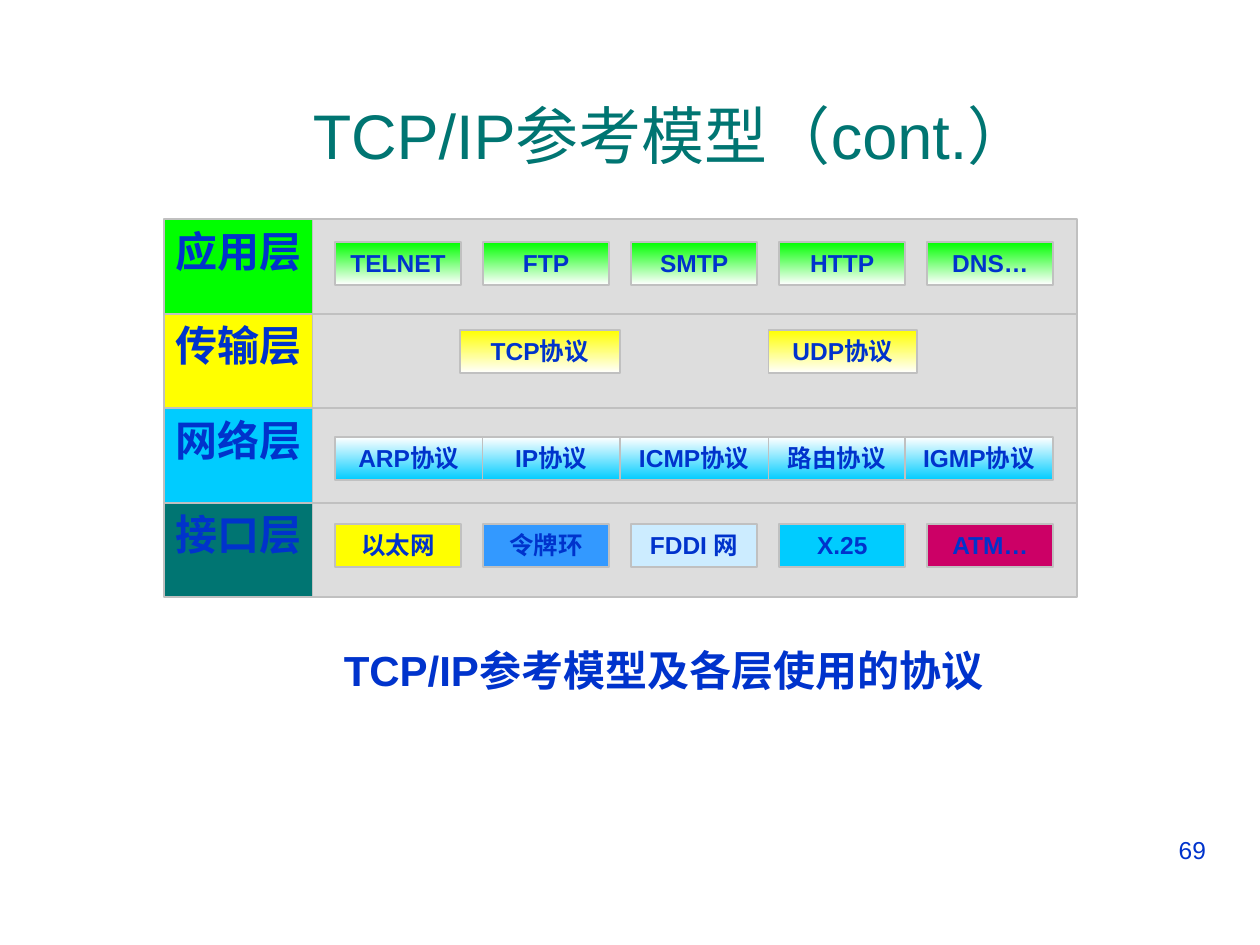
"""Build the slide showing the TCP/IP reference model and the protocols of each layer."""
from pptx import Presentation
from pptx.dml.color import RGBColor
from pptx.enum.shapes import MSO_SHAPE
from pptx.enum.text import MSO_ANCHOR, MSO_AUTO_SIZE, PP_ALIGN
from pptx.util import Inches, Pt

RECTANGLE = MSO_SHAPE.RECTANGLE
TOP, MIDDLE = MSO_ANCHOR.TOP, MSO_ANCHOR.MIDDLE
LEFT, CENTER, RIGHT = PP_ALIGN.LEFT, PP_ALIGN.CENTER, PP_ALIGN.RIGHT
NO_AUTOFIT = MSO_AUTO_SIZE.NONE

COLORS = {
    "text": "0033CC", "teal": "007572", "band": "DDDDDD", "border": "C0C0C0",
    "green": "00FF00", "yellow": "FFFF00", "cyan": "00CCFF", "blue": "3399FF",
    "pale": "CCECFF", "magenta": "CC0066", "white": "FFFFFF",
}
ROW_TOP, ROW_HEIGHT = 1.74, 0.75
LABEL_LEFT, LABEL_WIDTH = 1.3, 1.18
BAND_LEFT, BAND_WIDTH = 2.48, 6.07
BOX_HEIGHT = 0.34
COLUMNS = [(2.66 + 1.175 * column, 1) for column in range(5)]
NETWORK_EDGES = [2.66, 3.83, 4.92, 6.1, 7.18, 8.36]
NETWORK_COLUMNS = [(left, right - left) for left, right in zip(NETWORK_EDGES, NETWORK_EDGES[1:])]

LAYERS = [
    ("应用层", "green", 1.92, COLUMNS, ["TELNET", "FTP", "SMTP", "HTTP", "DNS…"],
     [("green", "white")] * 5),
    ("传输层", "yellow", 2.62, [(3.65, 1.27), (6.1, 1.18)], ["TCP协议", "UDP协议"],
     [("yellow", "white")] * 2),
    ("网络层", "cyan", 3.47, NETWORK_COLUMNS,
     ["ARP协议", "IP协议", "ICMP协议", "路由协议", "IGMP协议"], [("white", "cyan")] * 5),
    ("接口层", "teal", 4.16, COLUMNS, ["以太网", "令牌环", "FDDI 网", "X.25", "ATM…"],
     [("yellow",), ("blue",), ("pale",), ("cyan",), ("magenta",)]),
]


def write_text(shape, text, size, color="text", bold=False, align=CENTER, anchor=TOP, wrap=True):
    frame = shape.text_frame
    frame.text = text
    frame.auto_size = NO_AUTOFIT
    frame.word_wrap = wrap
    frame.vertical_anchor = anchor
    paragraph = frame.paragraphs[0]
    paragraph.alignment = align
    paragraph.font.name = "Arial"
    paragraph.font.size = Pt(size)
    paragraph.font.bold = bold
    paragraph.font.color.rgb = RGBColor.from_string(COLORS[color])


def add_rectangle(slide, left, top, width, height, fill_colors):
    shape = slide.shapes.add_shape(
        RECTANGLE, Inches(left), Inches(top), Inches(width), Inches(height))
    shape.shadow.inherit = False
    shape.line.color.rgb = RGBColor.from_string(COLORS["border"])
    shape.line.width = Pt(1)
    if len(fill_colors) == 1:
        shape.fill.solid()
        shape.fill.fore_color.rgb = RGBColor.from_string(COLORS[fill_colors[0]])
    else:
        shape.fill.gradient()
        shape.fill.gradient_angle = 270
        for stop, color in zip(shape.fill.gradient_stops, fill_colors):
            stop.color.rgb = RGBColor.from_string(COLORS[color])
    return shape


presentation = Presentation()
presentation.slide_width = Inches(10)
presentation.slide_height = Inches(7.5)
slide = presentation.slides.add_slide(presentation.slide_layouts[5])

title = slide.shapes.title
title.left, title.top = Inches(0.66), Inches(0.44)
title.width, title.height = Inches(9.34), Inches(1.25)
write_text(title, "TCP/IP参考模型（cont.）", 36, "teal", anchor=MIDDLE)

for row, (name, color, box_top, columns, protocols, fills) in enumerate(LAYERS):
    top = ROW_TOP + row * ROW_HEIGHT
    add_rectangle(slide, BAND_LEFT, top, BAND_WIDTH, ROW_HEIGHT, ("band",))
    label = add_rectangle(slide, LABEL_LEFT, top, LABEL_WIDTH, ROW_HEIGHT, (color,))
    write_text(label, name, 24, bold=True, wrap=False)
    for (left, width), protocol, fill in zip(columns, protocols, fills):
        box = add_rectangle(slide, left, box_top, width, BOX_HEIGHT, fill)
        write_text(box, protocol, 14, bold=True)

caption = slide.shapes.add_textbox(Inches(2.63), Inches(5.07), Inches(5.35), Inches(0.5))
write_text(caption, "TCP/IP参考模型及各层使用的协议", 24, bold=True, align=LEFT, wrap=False)

page_number = slide.shapes.add_textbox(Inches(7.17), Inches(6.58), Inches(2.5), Inches(0.52))
write_text(page_number, "69", 14, align=RIGHT)

presentation.save("out.pptx")
